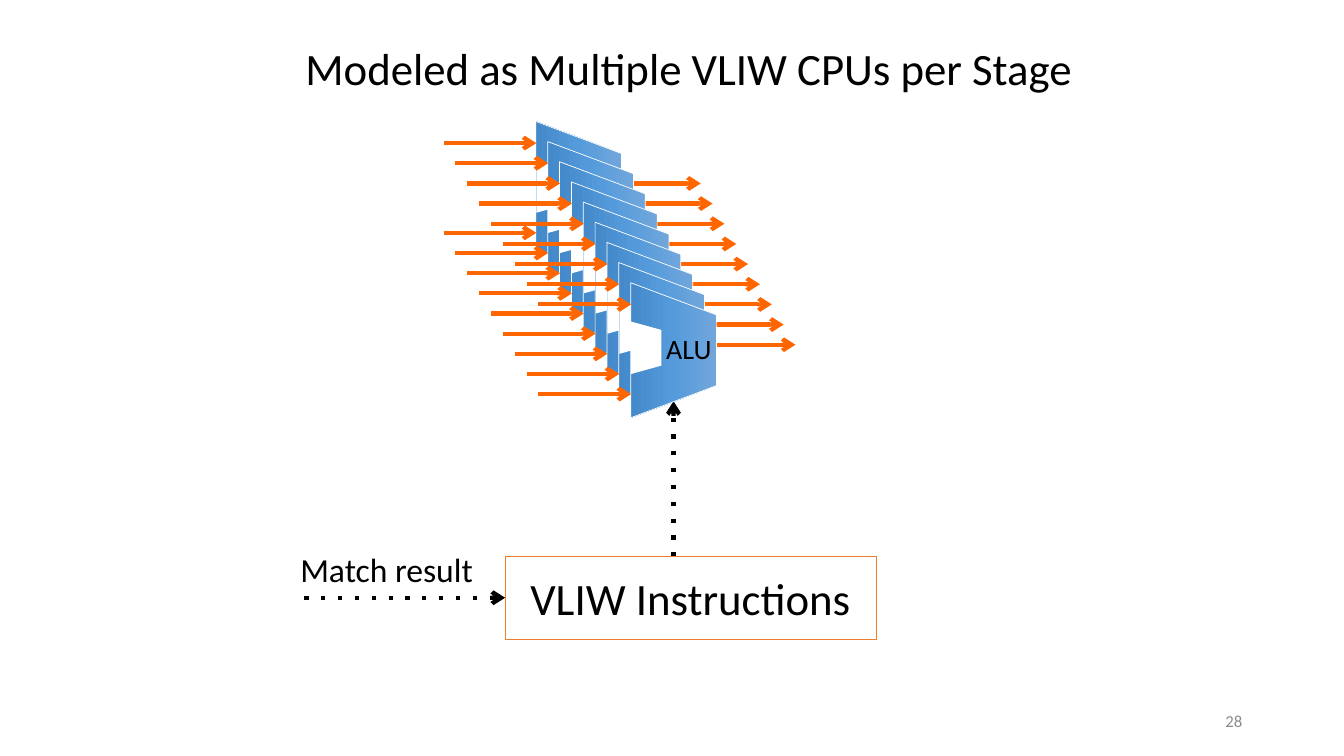
import pptx
import pptx.util
import pptx.dml.color
import pptx.enum.shapes
import pptx.enum.text
import pptx.oxml.ns
import pptx.oxml.xmlchemy

Inches = pptx.util.Inches
Pt = pptx.util.Pt
SHAPE = pptx.enum.shapes.MSO_SHAPE
ALIGN = pptx.enum.text.PP_ALIGN
ANCHOR = pptx.enum.text.MSO_ANCHOR
AUTO = pptx.enum.text.MSO_AUTO_SIZE
qn = pptx.oxml.ns.qn

ALU_COUNT = 9
STEP_X, STEP_Y = 0.94 / 8, 0.2
ALU_STOPS = [(0, "71A6DB"), (50, "559BDB"), (100, "448ACA")]
ORANGE = "FF6600"
BLACK = "000000"


def rgb(value):
    return pptx.dml.color.RGBColor.from_string(value)


def apply(target, values):
    for name, value in values.items():
        setattr(target, name, value)


def add_child(parent, tag, **attributes):
    child = pptx.oxml.xmlchemy.OxmlElement(tag)
    for name, value in attributes.items():
        child.set(name, value)
    parent.append(child)
    return child


def write(s, text, size, color=BLACK, align=ALIGN.LEFT, **frame):
    tf = s.text_frame
    apply(tf, frame)
    p = tf.paragraphs[0]
    p.alignment = align
    r = p.add_run()
    r.text = text
    apply(r.font, {"size": Pt(size), "name": "Calibri"})
    r.font.color.rgb = rgb(color)


def add_label(shapes, box, text, size):
    s = shapes.add_textbox(*map(Inches, box))
    write(s, text, size, word_wrap=False, auto_size=AUTO.SHAPE_TO_FIT_TEXT)


def add_arrow(shapes, start, end, color, dash="solid"):
    s = shapes.add_connector(
        pptx.enum.shapes.MSO_CONNECTOR.STRAIGHT, *map(Inches, start + end))
    s.line.width = Pt(3)
    s.line.color.rgb = rgb(color)
    ln = s._element.spPr.find(qn("a:ln"))
    add_child(ln, "a:prstDash", val=dash)
    add_child(ln, "a:tailEnd", type="arrow")
    add_child(s._element.spPr, "a:effectLst")
    return s


def add_trapezoid(shapes, box, adjustment):
    s = shapes.add_shape(SHAPE.TRAPEZOID, *map(Inches, box))
    s.rotation = 90
    s.adjustments[0] = adjustment
    s.shadow.inherit = False
    return s


def fill_gradient(s, stops):
    s.fill.gradient()
    s.fill.gradient_angle = 270
    stop_list = s._element.spPr.find(qn("a:gradFill")).find(qn("a:gsLst"))
    for old in list(stop_list):
        stop_list.remove(old)
    for position, color in stops:
        stop = add_child(stop_list, "a:gs", pos=str(position * 1000))
        add_child(stop, "a:srgbClr", val=color)


def add_alu(slide, dx, dy):
    shapes = slide.shapes.add_group_shape().shapes

    body = add_trapezoid(shapes, (5.07 + dx, 1.45 + dy, 1.34, 0.85), 0.375)
    fill_gradient(body, ALU_STOPS)
    body.line.color.rgb = rgb("FFFFFF")
    body.line.width = Pt(0.5)

    notch = add_trapezoid(shapes, (5.21 + dx, 1.7 + dy, 0.52, 0.3), 0.277)
    notch.fill.solid()
    notch.fill.fore_color.rgb = rgb("FFFFFF")
    notch.line.fill.background()

    for left, right, y in [(4.4, 5.32, 1.42), (4.4, 5.32, 2.31), (6.17, 6.95, 1.82)]:
        add_arrow(shapes, (left + dx, y + dy), (right + dx, y + dy), ORANGE)
    add_label(shapes, (5.57 + dx, 1.64 + dy, 0.66, 0.44), "ALU", 20)


def add_instructions(slide):
    s = slide.shapes.add_shape(
        SHAPE.RECTANGLE, *map(Inches, (5.01, 5.52, 3.68, 0.82)))
    s.shadow.inherit = False
    s.fill.background()
    s.line.color.rgb = rgb("ED7D31")
    s.line.width = Pt(0.5)
    write(s, "VLIW Instructions", 32, align=ALIGN.CENTER,
          vertical_anchor=ANCHOR.MIDDLE, word_wrap=True)
    return s


def add_slide_number(slide):
    s = slide.shapes.add_textbox(*map(Inches, (9.42, 6.95, 3, 0.4)))
    write(s, "28", 12, "8C8C8C", ALIGN.RIGHT,
          vertical_anchor=ANCHOR.MIDDLE, word_wrap=True)


def main():
    prs = pptx.Presentation()
    apply(prs, {"slide_width": Inches(13.33), "slide_height": Inches(7.5)})
    slide = prs.slides.add_slide(prs.slide_layouts[6])
    shapes = slide.shapes

    add_label(shapes, (2.93, 0.35, 7.99, 0.64),
              "Modeled as Multiple VLIW CPUs per Stage", 32)
    instructions = add_instructions(slide)
    add_arrow(shapes, (6.68, 5.52), (6.68, 3.98), BLACK, "dot")
    match = add_arrow(shapes, (3.02, 5.93), (5.01, 5.93), BLACK, "dot")
    match.end_connect(instructions, 1)
    add_label(shapes, (2.88, 5.4, 1.94, 0.5), "Match result", 24)

    for i in range(ALU_COUNT):
        add_alu(slide, i * STEP_X, i * STEP_Y)

    add_slide_number(slide)
    prs.save("out.pptx")


if __name__ == "__main__":
    main()
